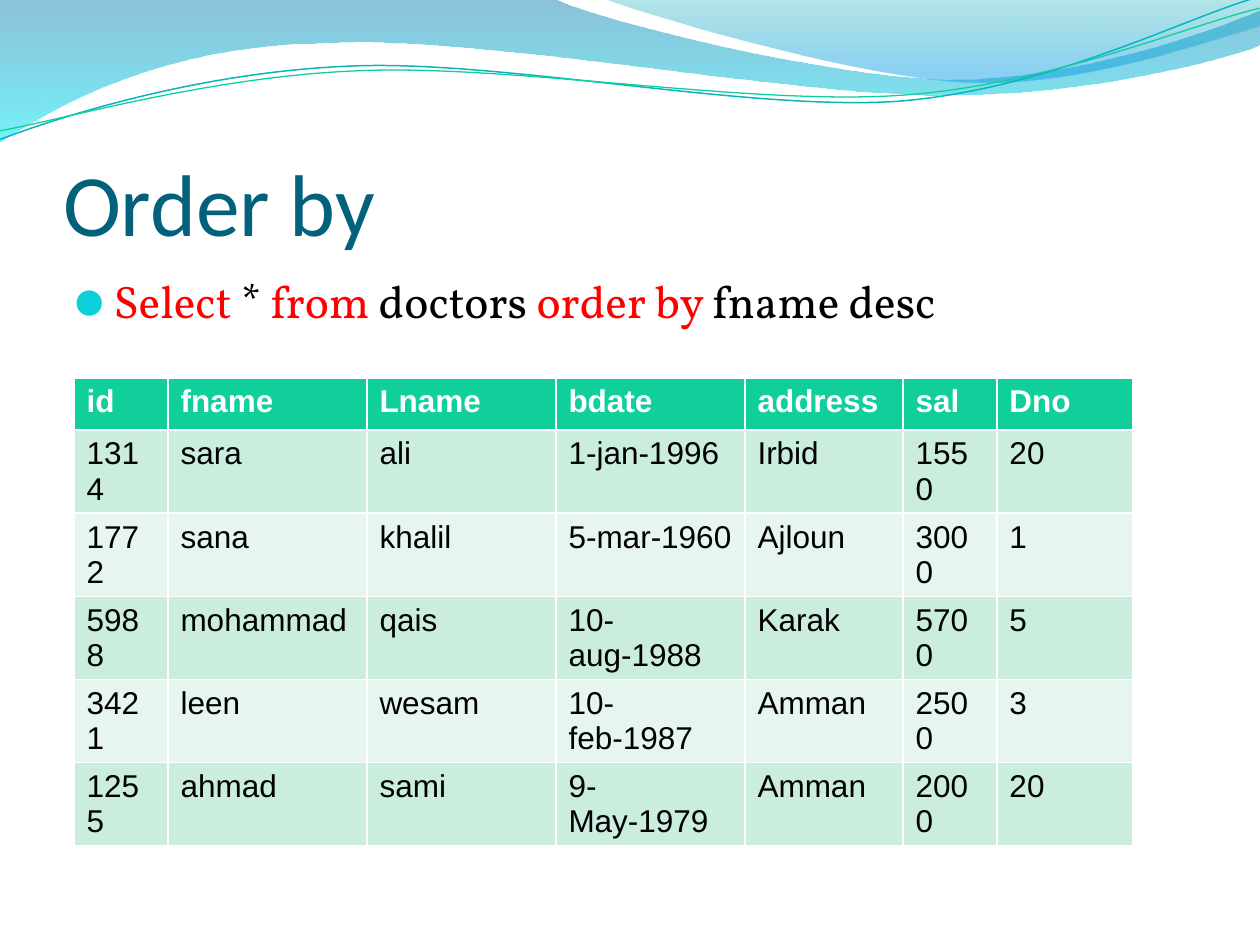
from lxml.etree import SubElement
from pptx import Presentation
from pptx.dml.color import RGBColor
from pptx.enum.text import MSO_ANCHOR, MSO_AUTO_SIZE, PP_ALIGN
from pptx.oxml.ns import qn
from pptx.util import Pt

PX = 914400 / 126  # EMU in one px
COLORS = {
    "title": "04617B", "keyword": "FF0000", "text": "000000", "bullet": "0BD0D9",
    "header": "10CF9B", "band_dark": "CAEDDE", "band_light": "E6F6EF", "white": "FFFFFF",
    "wave_blue": "0079AD", "wave_cyan": "00E9F7", "wave_teal": "00ABB4", "wave_sky": "0099E4",
    "line_teal": "09B6BE", "line_green": "10CF9B",
}
LINE_ROTATION = 357.3

# Outlines in px: two numbers are a straight line, six are a Bezier curve
BACK_WAVE = [(0, 0), (554, -1), (600, 21, 837, 79, 955, 79), (1075, 79, 1207, 33, 1260, 11),
             (1261, 45), (1239, 55, 1096, 96, 940, 95), (783, 95, 481, 35, 324, 43),
             (163, 45, 58, 105, -1, 142), (0, 0)]
FRONT_WAVE = [(604, -1), (641, 14, 859, 78, 969, 82), (1079, 87, 1211, 40, 1260, 26),
              (1260, 0), (604, -1)]
# The two lines are given before their rotation
TEAL_LINE = [(-3, 110), (58, 90, 199, 52, 350, 53), (499, 53, 745, 117, 896, 114),
             (1049, 109, 1184, 45, 1260, 27)]
GREEN_LINE = [(-2, 101), (57, 94, 207, 57, 357, 58), (509, 58, 750, 112, 902, 108),
              (1052, 104, 1188, 52, 1262, 38)]

QUERY = [("Select", "keyword"), (" * ", "text"), ("from", "keyword"), (" doctors ", "text"),
         ("order by ", "keyword"), ("fname desc", "text")]
COLUMN_WIDTHS = [94, 199, 189, 189, 158, 94, 136]
DOCTORS = [
    ["id", "fname", "Lname", "bdate", "address", "sal", "Dno"],
    ["1314", "sara", "ali", "1-jan-1996", "Irbid", "1550", "20"],
    ["1772", "sana", "khalil", "5-mar-1960", "Ajloun", "3000", "1"],
    ["5988", "mohammad", "qais", "10-aug-1988", "Karak", "5700", "5"],
    ["3421", "leen", "wesam", "10-feb-1987", "Amman", "2500", "3"],
    ["1255", "ahmad", "sami", "9-May-1979", "Amman", "2000", "20"],
]


def emu(px):
    return round(px * PX)


def rgb(name):
    return RGBColor.from_string(COLORS[name])


def add_color(parent, name, opacity=100):
    color = SubElement(parent, qn("a:srgbClr"), val=COLORS[name])
    if opacity < 100:
        SubElement(color, qn("a:alpha"), val=str(opacity * 1000))


class SlideBuilder:
    title_font, body_font, table_font = "Calibri", "Vollkorn", "Arial"

    def __init__(self, presentation):
        self.slide = presentation.slides.add_slide(presentation.slide_layouts[1])

    def outline(self, outline, closed):
        points = [(emu(x), emu(y)) for step in outline for x, y in zip(step[::2], step[1::2])]
        builder = self.slide.shapes.build_freeform(*points[0], scale=1.0)
        builder.add_line_segments(points[1:], close=closed)
        shape = builder.convert_to_shape()
        shape.shadow.inherit = False
        # Join each three points of a curve into one Bezier segment
        segments = iter(list(shape._element.iter(qn("a:lnTo"))))
        for step in outline[1:]:
            segment = next(segments)
            if len(step) == 6:
                segment.tag = qn("a:cubicBezTo")
                for _ in range(2):
                    extra = next(segments)
                    segment.append(extra[0])
                    extra.getparent().remove(extra)
        # Decoration lies behind the text
        self.slide.shapes.title._element.addprevious(shape._element)
        return shape

    def wave(self, outline, stops):
        shape = self.outline(outline, closed=True)
        shape.line.fill.background()
        shape.fill.gradient()
        shape.fill.gradient_angle = 270
        stop_list = shape._element.spPr.find(qn("a:gradFill")).find(qn("a:gsLst"))
        stop_list.clear()
        for position, color, opacity in stops:
            stop = SubElement(stop_list, qn("a:gs"), pos=str(position * 1000))
            add_color(stop, color, opacity)

    def curve(self, outline, color, width):
        shape = self.outline(outline, closed=False)
        shape.rotation = LINE_ROTATION
        shape.fill.background()
        shape.line.color.rgb = rgb(color)
        shape.line.width = Pt(width)

    def place(self, placeholder, left, top, width, height):
        placeholder.left, placeholder.top = emu(left), emu(top)
        placeholder.width, placeholder.height = emu(width), emu(height)
        frame = placeholder.text_frame
        frame.auto_size = MSO_AUTO_SIZE.NONE
        paragraph = frame.paragraphs[0]
        paragraph.alignment = PP_ALIGN.LEFT
        paragraph.space_before = Pt(0)
        return frame, paragraph

    def title(self, text, *box):
        frame, paragraph = self.place(self.slide.shapes.title, *box)
        frame.margin_left = frame.margin_right = frame.margin_bottom = 0
        frame.vertical_anchor = MSO_ANCHOR.BOTTOM
        paragraph.text = text
        font = paragraph.font
        font.name, font.size, font.color.rgb = self.title_font, Pt(50), rgb("title")

    def bullet(self, pieces, *box):
        _, paragraph = self.place(self.slide.placeholders[1], *box)
        paragraph.font.name, paragraph.font.size = self.body_font, Pt(26)
        for text, color in pieces:
            run = paragraph.add_run()
            run.text = text
            run.font.color.rgb = rgb(color)
        properties = paragraph._p.get_or_add_pPr()
        properties.set("marL", str(emu(38)))
        properties.set("indent", str(emu(-38)))
        add_color(SubElement(properties, qn("a:buClr")), "bullet")
        SubElement(properties, qn("a:buChar"), char="⚫")
        # Default run properties follow the bullet
        properties.append(properties.find(qn("a:defRPr")))

    def table(self, rows, widths, left, top, row_height):
        # The default table style draws the white borders
        table = self.slide.shapes.add_table(
            len(rows), len(widths), emu(left), emu(top),
            emu(sum(widths)), emu(row_height * len(rows))).table
        for column, width in zip(table.columns, widths):
            column.width = emu(width)
        for r, values in enumerate(rows):
            table.rows[r].height = emu(row_height)
            header = r == 0
            fill = "header" if header else "band_dark" if r % 2 else "band_light"
            for c, value in enumerate(values):
                cell = table.cell(r, c)
                cell.fill.solid()
                cell.fill.fore_color.rgb = rgb(fill)
                cell.text = value
                font = cell.text_frame.paragraphs[0].font
                font.name, font.size, font.bold = self.table_font, Pt(18), header
                font.color.rgb = rgb("white" if header else "text")


def main():
    presentation = Presentation()
    presentation.slide_width, presentation.slide_height = emu(1260), emu(945)
    builder = SlideBuilder(presentation)

    # Waves along the top
    builder.wave(BACK_WAVE, [(0, "wave_blue", 45), (100, "wave_cyan", 55)])
    builder.wave(FRONT_WAVE, [(0, "wave_teal", 30), (80, "wave_sky", 45), (100, "wave_sky", 45)])
    builder.curve(TEAL_LINE, "line_teal", 0.85)
    builder.curve(GREEN_LINE, "line_green", 0.75)

    # Title and query
    builder.title("Order by", 63, 97, 1134, 157)
    builder.bullet(QUERY, 63, 267, 1134, 605)

    # Query result
    builder.table(DOCTORS, COLUMN_WIDTHS, 74, 378, 52)
    presentation.save("out.pptx")


if __name__ == "__main__":
    main()
